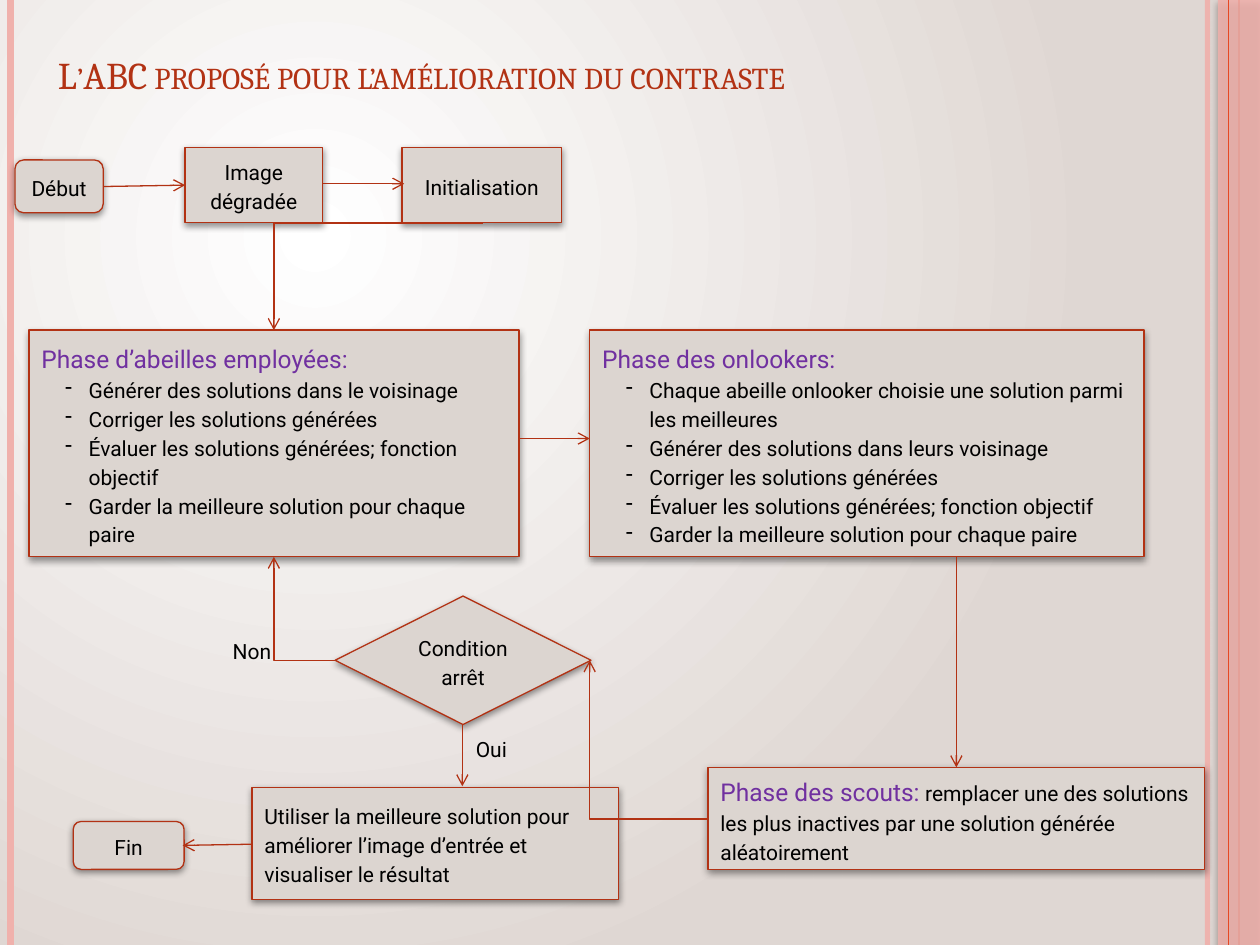
from lxml import etree
from pptx import Presentation
from pptx import util as u
from pptx.dml.color import RGBColor
from pptx.enum import shapes, text
from pptx.oxml import ns

Pt = u.Pt
COLORS = {
    "paper": "FFFFFF", "sand": "DFD7D3", "box": "DCD5D0", "brick": "B23214",
    "pink": "F0B1AC", "orange": "E64823", "purple": "7030A0", "ink": "000000",
}
LEFT, CENTER = text.PP_ALIGN.LEFT, text.PP_ALIGN.CENTER
RECT = shapes.MSO_SHAPE.RECTANGLE
ROUNDED = shapes.MSO_SHAPE.ROUNDED_RECTANGLE
DIAMOND = shapes.MSO_SHAPE.DIAMOND


def rgb(name):
    return RGBColor.from_string(COLORS[name])


def add_tag(parent, tag, **attributes):
    child = etree.SubElement(parent, ns.qn(tag))
    for key, value in attributes.items():
        child.set(key, str(value))
    return child


def set_alpha(element, percent):
    for color in element.iter(ns.qn("a:srgbClr")):
        add_tag(color, "a:alpha", val=percent * 1000)


def paint_background(page):
    """Radial gradient centred in the upper left quarter."""
    fill = page.background.fill
    fill.gradient()
    for stop, name, position in zip(fill.gradient_stops, ("paper", "sand"), (0, 1)):
        stop.color.rgb = rgb(name)
        stop.position = position
    gradient = next(page.element.iter(ns.qn("a:gradFill")))
    gradient.remove(gradient.find(ns.qn("a:lin")))
    circle = add_tag(gradient, "a:path")
    circle.set("path", "circle")
    add_tag(circle, "a:fillToRect", l=25000, t=25000, r=75000, b=75000)


def add_shadow(shape, alpha, distance):
    shape.shadow.inherit = False
    effects = shape.element.spPr.find(ns.qn("a:effectLst"))
    shadow = add_tag(effects, "a:outerShdw", blurRad=Pt(4), dist=Pt(distance),
                     dir=5400000, rotWithShape=0)
    add_tag(shadow, "a:srgbClr", val=COLORS["ink"])
    set_alpha(shadow, alpha)


def style_font(font, size=12, color="ink", face="Roboto"):
    font.name = face
    font.size = Pt(size)
    font.color.rgb = rgb(color)


def add_dash(para):
    properties = para._p.get_or_add_pPr()
    properties.set("marL", str(Pt(27)))
    properties.set("indent", str(-Pt(13.5)))
    color = add_tag(properties, "a:buClr")
    add_tag(color, "a:srgbClr", val=COLORS["ink"])
    add_tag(properties, "a:buChar", char="-")


def write(box, words, align=CENTER):
    frame = box.text_frame
    frame.word_wrap = True
    frame.vertical_anchor = text.MSO_ANCHOR.MIDDLE
    frame.text = words
    para = frame.paragraphs[0]
    para.alignment = align
    para.line_spacing = 1.15
    style_font(para.runs[0].font)


def add_label(page, left, top, words):
    write(page.shapes.add_textbox(Pt(left), Pt(top), Pt(44.6), Pt(23.8)), words)


def add_step(page, kind, place, words, align=CENTER):
    box = page.shapes.add_shape(kind, *map(Pt, place))
    box.fill.solid()
    box.fill.fore_color.rgb = rgb("box")
    box.line.color.rgb = rgb("brick")
    box.line.width = Pt(0)
    add_shadow(box, 42, 1.6)
    write(box, words, align)
    return box


def add_phase(page, place, heading, items=(), remark=""):
    """Step with a purple heading, then dashed items or a remark on the same line."""
    box = add_step(page, RECT, place, heading, LEFT)
    first = box.text_frame.paragraphs[0]
    style_font(first.runs[0].font, 14, "purple")
    if remark:
        span = first.add_run()
        span.text = " " + remark
        style_font(span.font)
    for item in items:
        para = box.text_frame.add_paragraph()
        para.text = item
        para.alignment = LEFT
        para.line_spacing = 1.15
        add_dash(para)
        style_font(para.runs[0].font)


def add_line(page, start, end, color, width):
    line = page.shapes.add_connector(shapes.MSO_CONNECTOR.STRAIGHT,
                                     *map(Pt, start + end))
    line.line.color.rgb = rgb(color)
    line.line.width = Pt(width)
    add_tag(line.element.spPr, "a:effectLst")
    return line


def add_arrow(page, start, end):
    arrow = add_line(page, start, end, "brick", 0.75)
    add_tag(arrow.line._get_or_add_ln(), "a:tailEnd", type="arrow")
    return arrow


def add_bent_arrow(page, start, end):
    """One-corner arrow that runs left first, then up or down."""
    properties = add_arrow(page, start, end).element.spPr
    properties.find(ns.qn("a:prstGeom")).set("prst", "bentConnector2")
    frame = properties.find(ns.qn("a:xfrm"))
    frame.set("rot", "10800000")
    frame.set("flipH", "0")
    frame.set("flipV", "1" if end[1] > start[1] else "0")


def add_stripes(page):
    for x, color, width in ((690, "pink", 3), (6, "pink", 4.5), (708, "orange", 1.5)):
        stripe = add_line(page, (x, 0), (x, 540), color, width)
        if x == 690:
            set_alpha(stripe.element.spPr, 93)
    band = page.shapes.add_shape(RECT, Pt(696), 0, Pt(24), Pt(540))
    band.fill.solid()
    band.fill.fore_color.rgb = rgb("pink")
    band.line.fill.background()
    set_alpha(band.element.spPr, 87)
    add_shadow(band, 40, 2)
    add_line(page, (702, 0), (702, 540), "orange", 0.75)


def add_title(page, words):
    box = page.shapes.add_textbox(Pt(26), Pt(18.7), Pt(660), Pt(40.3))
    write(box, words, LEFT)
    box.text_frame.vertical_anchor = text.MSO_ANCHOR.BOTTOM
    para = box.text_frame.paragraphs[0]
    para.line_spacing = 1.0
    font = para.runs[0].font
    style_font(font, 21.6, "brick", "Cambria")
    font._element.set("cap", "small")


def main():
    deck = Presentation()
    deck.slide_width, deck.slide_height = Pt(720), Pt(540)
    page = deck.slides.add_slide(deck.slide_layouts[6])
    paint_background(page)
    add_stripes(page)
    add_title(page, "L’ABC proposé pour l’amélioration du contraste")
    add_label(page, 121.7, 359.3, "Non")
    add_label(page, 258.5, 415.4, "Oui")

    shared = ["Corriger les solutions générées",
              "Évaluer les solutions générées; fonction objectif",
              "Garder la meilleure solution pour chaque paire"]
    add_phase(page, (16.6, 188.6, 280, 129.6), "Phase d’abeilles employées:",
              ["Générer des solutions dans le voisinage"] + shared)
    add_phase(page, (337, 188.6, 316.8, 129.6), "Phase des onlookers:",
              ["Chaque abeille onlooker choisie une solution parmi les meilleures",
               "Générer des solutions dans leurs voisinage"] + shared)
    add_phase(page, (404.6, 438.5, 283.7, 58.3), "Phase des scouts:",
              remark="remplacer une des solutions les plus inactives "
                     "par une solution générée aléatoirement")
    add_step(page, DIAMOND, (191.5, 340.6, 146.2, 73.4), "Condition arrêt")
    add_step(page, RECT, (144, 450, 209.5, 64.1),
             "Utiliser la meilleure solution pour améliorer l’image d’entrée "
             "et visualiser le résultat", LEFT)
    add_step(page, ROUNDED, (41.8, 469.4, 63.4, 27.4), "Fin")
    add_step(page, RECT, (105.8, 84.2, 78.5, 43.2), "Image dégradée")
    add_step(page, RECT, (229.7, 84.2, 91.4, 43.2), "Initialisation")
    add_step(page, ROUNDED, (8.6, 91.4, 50.4, 30.2), "Début")

    for start, end in (((264.2, 414), (264.2, 449.3)), ((59, 106.6), (105.8, 105.8)),
                       ((184.3, 105), (231, 105)), ((296.6, 250.6), (337, 250.6)),
                       ((546.5, 318.2), (546.5, 438.5)), ((144, 482.4), (104.4, 483.1))):
        add_arrow(page, start, end)
    for start, end in (((191.5, 377.3), (156.5, 318.2)), ((275.8, 127.4), (156.5, 188.6)),
                       ((404.6, 468), (337, 377.3))):
        add_bent_arrow(page, start, end)
    deck.save("out.pptx")


if __name__ == "__main__":
    main()
